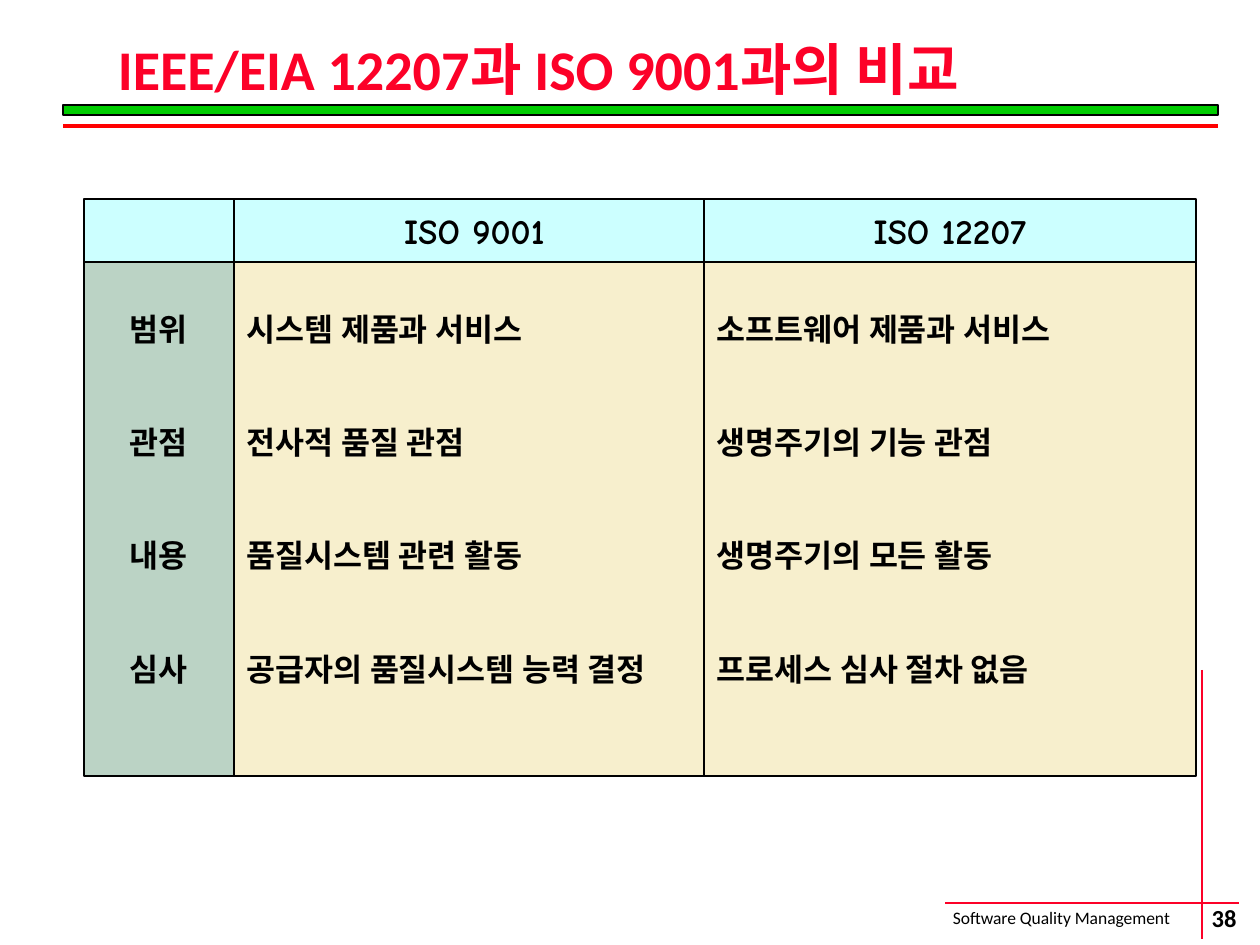
import pptx
import pptx.dml.color
import pptx.enum.shapes
import pptx.enum.text
import pptx.oxml.ns
import pptx.util
from lxml import etree

RED = pptx.dml.color.RGBColor(0xFC, 0x01, 0x28)
RULE_RED = pptx.dml.color.RGBColor(0xFF, 0x00, 0x00)
GREEN = pptx.dml.color.RGBColor(0x00, 0xCC, 0x00)
BLACK = pptx.dml.color.RGBColor(0x00, 0x00, 0x00)
HEADER_BLUE = pptx.dml.color.RGBColor(0xCC, 0xFF, 0xFF)
BODY_CREAM = pptx.dml.color.RGBColor(0xF7, 0xEF, 0xCD)
LABEL_GREEN = pptx.dml.color.RGBColor(0xBB, 0xD3, 0xC5)

LEFT = pptx.enum.text.PP_ALIGN.LEFT
CENTER = pptx.enum.text.PP_ALIGN.CENTER
TOP = pptx.enum.text.MSO_ANCHOR.TOP
MIDDLE = pptx.enum.text.MSO_ANCHOR.MIDDLE

HEADER_TOP, HEADER_HEIGHT = 199, 63
BODY_TOP, BODY_HEIGHT = HEADER_TOP + HEADER_HEIGHT, 514
ROW_FORMAT = {"line_spacing": pptx.util.Pt(26)}
ROW_GAP = pptx.util.Pt(38.8)

COLUMNS = [
    (234, 481, BODY_CREAM, LEFT, "ISO 9001",
     ["시스템 제품과 서비스", "전사적 품질 관점", "품질시스템 관련 활동", "공급자의 품질시스템 능력 결정"]),
    (704, 492, BODY_CREAM, LEFT, "ISO 12207",
     ["소프트웨어 제품과 서비스", "생명주기의 기능 관점", "생명주기의 모든 활동", "프로세스 심사 절차 없음"]),
    (84, 150, LABEL_GREEN, CENTER, "",
     ["범위", "관점", "내용", "심사"]),
]


class SlideBuilder:
    """Draws styled elements on one slide, with lengths in px."""

    scale = 914400 / 126

    def __init__(self, presentation):
        presentation.slide_width = self.emu(1260)
        presentation.slide_height = self.emu(945)
        self.slide = presentation.slides.add_slide(presentation.slide_layouts[6])

    def emu(self, px):
        return pptx.util.Emu(round(px * self.scale))

    def apply(self, target, values):
        for name, value in values.items():
            setattr(target, name, value)

    def font(self, size, name="Comic Neue", color=BLACK, bold=True):
        return {"size": pptx.util.Pt(size), "name": name, "color": color, "bold": bold}

    def fill_text(self, shape, paragraphs, align=LEFT, anchor=MIDDLE, inset=(13, 6), gap=0, paragraph_format=None):
        frame = shape.text_frame
        side, top = map(self.emu, inset)
        self.apply(frame, {"word_wrap": True, "vertical_anchor": anchor, "margin_left": side,
                           "margin_right": side, "margin_top": top, "margin_bottom": 0 if anchor == TOP else top})
        for index, runs in enumerate(paragraphs):
            paragraph = frame.add_paragraph() if index else frame.paragraphs[0]
            self.apply(paragraph, {"alignment": align, **(paragraph_format or {})})
            if index:
                paragraph.space_before = gap
            for text, values in runs:
                run = paragraph.add_run()
                run.text = text
                run.font.color.rgb = values["color"]
                self.apply(run.font, {key: value for key, value in values.items() if key != "color"})

    def text(self, box, runs, **layout):
        shape = self.slide.shapes.add_textbox(*map(self.emu, box))
        self.fill_text(shape, [runs], **layout)

    def rectangle(self, box, fill, line_width=0.75):
        shape = self.slide.shapes.add_shape(pptx.enum.shapes.MSO_SHAPE.RECTANGLE, *map(self.emu, box))
        shape.shadow.inherit = False
        shape.fill.solid()
        shape.fill.fore_color.rgb = fill
        shape.line.color.rgb = BLACK
        shape.line.width = pptx.util.Pt(line_width)
        return shape

    def line(self, ends, color, width):
        connector = self.slide.shapes.add_connector(
            pptx.enum.shapes.MSO_CONNECTOR.STRAIGHT, *map(self.emu, ends))
        connector.line.color.rgb = color
        connector.line.width = pptx.util.Pt(width)
        properties = connector._element.find(pptx.oxml.ns.qn("p:spPr"))
        etree.SubElement(properties, pptx.oxml.ns.qn("a:effectLst"))


def main():
    presentation = pptx.Presentation()
    builder = SlideBuilder(presentation)

    builder.line((945, 903, 1239, 903), RED, 1)
    builder.text((940, 901, 276, 34), [("Software Quality Management", builder.font(10, "Calibri", bold=False))],
                 anchor=TOP)
    builder.line((1202, 670, 1202, 939), RED, 1)
    builder.text((1188, 900, 72, 35), [("38", builder.font(14, "Calibri"))], align=CENTER, inset=(0, 0))

    builder.rectangle((63, 105, 1155, 10), GREEN, 1.5)
    builder.line((63, 126, 1218, 126), RULE_RED, 2.25)
    builder.text((105, 42, 1110, 60),
                 [("IEEE/EIA 12207과 ISO 9001", builder.font(32, "Calibri", RED)),
                  ("과의 비교", builder.font(32, "Noto Sans CJK KR", RED))],
                 paragraph_format={"line_spacing": 0.9})

    for left, width, fill, align, heading, rows in COLUMNS:
        header = builder.rectangle((left, HEADER_TOP, width, HEADER_HEIGHT), HEADER_BLUE)
        if heading:
            builder.fill_text(header, [[(heading, builder.font(20))]], align=CENTER)
        body = builder.rectangle((left, BODY_TOP, width, BODY_HEIGHT), fill)
        builder.fill_text(body, [[(row, builder.font(18))] for row in rows], align=align, anchor=TOP,
                          inset=(13, 40), gap=ROW_GAP, paragraph_format=ROW_FORMAT)

    presentation.save("out.pptx")


if __name__ == "__main__":
    main()
